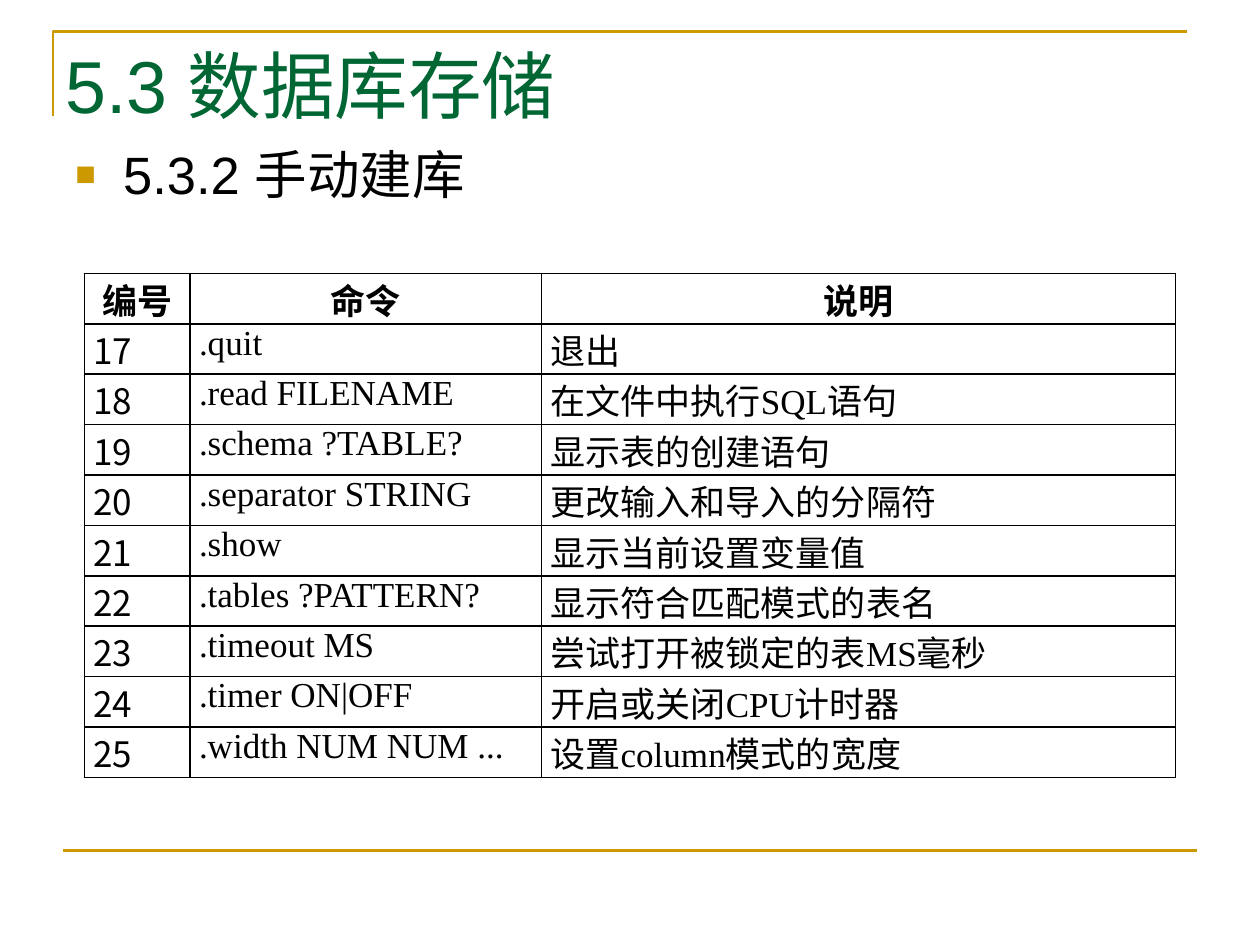
from typing import NamedTuple

from lxml.etree import SubElement
from pptx import Presentation
from pptx.dml.color import RGBColor
from pptx.enum.shapes import MSO_CONNECTOR
from pptx.enum.text import MSO_ANCHOR, PP_ALIGN
from pptx.oxml.ns import qn
from pptx.util import Inches, Pt

COLORS = {"gold": "CC9900", "green": "006633", "black": "000000"}
SANS, SERIF, CJK = "Arial", "Times New Roman", "Noto Sans CJK SC"
COLUMN_WIDTHS = (0.84, 2.79, 5.03)
ROW_HEIGHT = 0.4
HEADINGS = ("编号", "命令", "说明")


class Command(NamedTuple):
    syntax: str
    meaning: str


FIRST_NUMBER = 17
COMMANDS = (
    Command(".quit", "退出"),
    Command(".read FILENAME", "在文件中执行SQL语句"),
    Command(".schema ?TABLE?", "显示表的创建语句"),
    Command(".separator STRING", "更改输入和导入的分隔符"),
    Command(".show", "显示当前设置变量值"),
    Command(".tables ?PATTERN?", "显示符合匹配模式的表名"),
    Command(".timeout MS", "尝试打开被锁定的表MS毫秒"),
    Command(".timer ON|OFF", "开启或关闭CPU计时器"),
    Command(".width NUM NUM ...", "设置column模式的宽度"),
)


def color(name: str) -> RGBColor:
    return RGBColor.from_string(COLORS[name])


def style(font, size: float, color_name: str) -> None:
    font.size = Pt(size)
    font.color.rgb = color(color_name)


def set_typeface(font, latin: str) -> None:
    font.name = latin
    latin_element = font._element.find(qn("a:latin"))
    east_asian = latin_element.makeelement(qn("a:ea"), {"typeface": CJK})
    latin_element.addnext(east_asian)


def style_line(line) -> None:
    line.color.rgb = color("gold")
    line.width = Pt(1.5)


def add_frame(slide) -> None:
    builder = slide.shapes.build_freeform(Inches(0.42), Inches(0.92))
    builder.add_line_segments(
        [(Inches(0.42), Inches(0.25)), (Inches(9.42), Inches(0.25))], close=False
    )
    corner = builder.convert_to_shape()
    corner.shadow.inherit = False
    corner.fill.background()
    style_line(corner.line)

    footer_rule = slide.shapes.add_connector(
        MSO_CONNECTOR.STRAIGHT, Inches(0.5), Inches(6.75), Inches(9.5), Inches(6.75)
    )
    style_line(footer_rule.line)
    SubElement(footer_rule._element.spPr, qn("a:effectLst"))


def add_title(slide) -> None:
    title = slide.shapes.add_textbox(
        Inches(0.42), Inches(0.25), Inches(4.92), Inches(0.83)
    ).text_frame
    title.word_wrap = True
    title.vertical_anchor = MSO_ANCHOR.MIDDLE
    paragraph = title.paragraphs[0]
    style(paragraph.font, 42, "green")
    for text, typeface in (("5.3 ", SANS), ("数据库存储", CJK)):
        run = paragraph.add_run()
        run.text = text
        set_typeface(run.font, typeface)


def add_section(slide) -> None:
    section = slide.shapes.add_textbox(
        Inches(0.5), Inches(1.08), Inches(9), Inches(5.67)
    ).text_frame
    section.word_wrap = True
    paragraph = section.paragraphs[0]
    paragraph.text = "5.3.2 手动建库"
    properties = paragraph._p.get_or_add_pPr()
    properties.set("marL", str(Inches(0.38)))
    properties.set("indent", str(-Inches(0.38)))
    bullet_color = SubElement(properties, qn("a:buClr"))
    SubElement(bullet_color, qn("a:srgbClr"), val=COLORS["gold"])
    SubElement(properties, qn("a:buSzPct"), val="65000")
    SubElement(properties, qn("a:buFont"), typeface=SANS)
    SubElement(properties, qn("a:buChar"), char="■")
    style(paragraph.font, 30, "black")
    set_typeface(paragraph.font, SANS)


def add_borders(cell) -> None:
    properties = cell._tc.get_or_add_tcPr()
    for side in ("lnL", "lnR", "lnT", "lnB"):
        border = SubElement(properties, qn(f"a:{side}"), w=str(Pt(1)))
        fill = SubElement(border, qn("a:solidFill"))
        SubElement(fill, qn("a:srgbClr"), val=COLORS["black"])


def fill_cell(cell, text: str, typeface: str, heading: bool) -> None:
    cell.margin_left = cell.margin_right = Inches(0.07)
    cell.margin_top = cell.margin_bottom = 0
    add_borders(cell)
    cell.fill.background()
    paragraph = cell.text_frame.paragraphs[0]
    paragraph.text = text
    paragraph.alignment = PP_ALIGN.CENTER if heading else PP_ALIGN.JUSTIFY
    style(paragraph.font, 20, "black")
    paragraph.font.bold = heading
    set_typeface(paragraph.font, typeface)


def add_command_table(slide) -> None:
    rows = [HEADINGS] + [
        (str(number), *command) for number, command in enumerate(COMMANDS, FIRST_NUMBER)
    ]
    table = slide.shapes.add_table(
        len(rows), len(HEADINGS), Inches(0.67), Inches(2.17),
        Inches(sum(COLUMN_WIDTHS)), Inches(ROW_HEIGHT * len(rows)),
    ).table
    table.first_row = table.horz_banding = False
    for column, width in zip(table.columns, COLUMN_WIDTHS):
        column.width = Inches(width)
    for row_index, values in enumerate(rows):
        table.rows[row_index].height = Inches(ROW_HEIGHT)
        heading = row_index == 0
        for column_index, text in enumerate(values):
            typeface = CJK if column_index == 0 and not heading else SERIF
            fill_cell(table.cell(row_index, column_index), text, typeface, heading)


def main() -> None:
    presentation = Presentation()
    presentation.slide_width = Inches(10)
    presentation.slide_height = Inches(7.5)
    slide = presentation.slides.add_slide(presentation.slide_layouts[6])
    add_frame(slide)
    add_title(slide)
    add_section(slide)
    add_command_table(slide)
    presentation.save("out.pptx")


if __name__ == "__main__":
    main()
